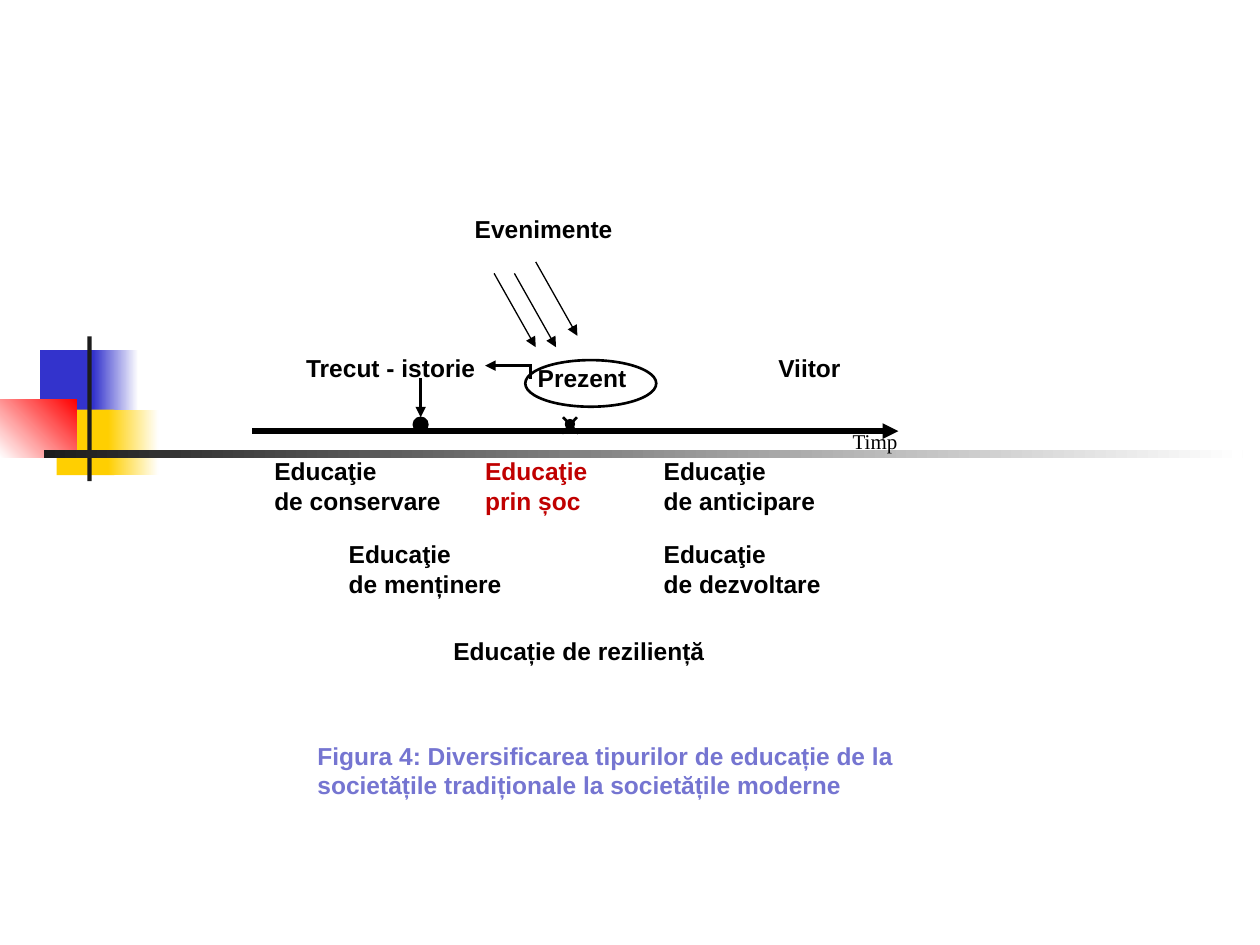
import pptx
import pptx.util
import pptx.dml.color
import pptx.enum.shapes
import pptx.enum.text
import pptx.oxml.ns
import lxml.etree

Cm, Pt = pptx.util.Cm, pptx.util.Pt
RGBColor = pptx.dml.color.RGBColor
SHAPES = pptx.enum.shapes.MSO_SHAPE

BLACK = RGBColor(0x00, 0x00, 0x00)
WHITE = RGBColor(0xFF, 0xFF, 0xFF)
BLUE = RGBColor(0x33, 0x33, 0xCC)
YELLOW = RGBColor(0xFF, 0xCF, 0x01)
RED = RGBColor(0xFF, 0x00, 0x00)
CHARCOAL = RGBColor(0x1C, 0x1C, 0x1C)
SHOCK_RED = RGBColor(0xC0, 0x00, 0x00)
LAVENDER = RGBColor(0x75, 0x75, 0xD1)


class TimelineSlide:
    font = "Arial"
    size = 14
    space_before = 8.8

    def __init__(self, deck):
        self.shapes = deck.slides.add_slide(deck.slide_layouts[6]).shapes

    def figure(self, kind, box, fill, outline=None):
        figure = self.shapes.add_shape(kind, *map(Cm, box))
        figure.shadow.inherit = False
        figure.fill.solid()
        figure.fill.fore_color.rgb = fill
        if outline:
            figure.line.color.rgb = BLACK
            figure.line.width = Pt(outline)
        else:
            figure.line.fill.background()
        return figure

    def fade(self, box, start, end, angle=0):
        fill = self.figure(SHAPES.RECTANGLE, box, start).fill
        fill.gradient()
        fill.gradient_angle = angle
        for stop, color in zip(fill.gradient_stops, (start, end)):
            stop.color.rgb = color

    def line(self, start, end, width=1.5, arrow=False):
        line = self.shapes.add_connector(
            pptx.enum.shapes.MSO_CONNECTOR.STRAIGHT, *map(Cm, start + end))
        line.line.color.rgb = BLACK
        line.line.width = Pt(width)
        if arrow:
            lxml.etree.SubElement(line.line._get_or_add_ln(),
                                  pptx.oxml.ns.qn("a:tailEnd"), type="triangle")
        lxml.etree.SubElement(line._element.spPr, pptx.oxml.ns.qn("a:effectLst"))

    def label(self, text, box, color=BLACK, spacing=None, before=None,
              font=None, size=None, bold=True):
        frame = self.shapes.add_textbox(*map(Cm, box)).text_frame
        frame.word_wrap = True
        frame.auto_size = pptx.enum.text.MSO_AUTO_SIZE.NONE
        frame.text = text
        for paragraph in frame.paragraphs:
            if spacing:
                paragraph.line_spacing = spacing
            if before:
                paragraph.space_before = Pt(before)
            for run in paragraph.runs:
                run.font.name = font or self.font
                run.font.size = Pt(size or self.size)
                run.font.bold = bold
                run.font.color.rgb = color

    def education(self, kind, left, top, width, color=BLACK):
        self.label("Educaţie \n" + kind, (left, top, width, 1.17), color,
                   spacing=0.5, before=self.space_before)


deck = pptx.Presentation()
deck.slide_width, deck.slide_height = Cm(25.4), Cm(19.05)
slide = TimelineSlide(deck)

for color, top, left, width, fade_left, fade_width in (
        (BLUE, 7.06, 0.81, 1.22, 1.88, 0.91),
        (YELLOW, 8.26, 1.14, 1.17, 2.18, 1.02)):
    slide.figure(SHAPES.RECTANGLE, (left, top, width, 1.32), color)
    slide.fade((fade_left, top, fade_width, 1.32), color, WHITE)
slide.fade((0, 8.05, 1.55, 1.17), WHITE, RED, angle=45)
slide.figure(SHAPES.RECTANGLE, (1.76, 6.78, 0.09, 2.92), CHARCOAL)
slide.fade((0.89, 9.07, 24.16, 0.16), CHARCOAL, WHITE)

slide.line((5.08, 8.69), (18.11, 8.69), width=3, arrow=True)
slide.label("Timp", (16.94, 8.51, 1.55, 0.94),
            font="Times New Roman", size=12, bold=False)

slide.label("Trecut - istorie", (5.92, 6.99, 4.17, 0.97))
slide.figure(SHAPES.OVAL, (10.59, 7.26, 2.64, 0.94), WHITE, outline=1.5)
slide.label("Prezent", (10.59, 7.19, 3.25, 1.14))
slide.label("Viitor", (15.44, 6.99, 2.74, 0.86), before=slide.space_before)

slide.line((10.72, 7.37), (9.78, 7.37), arrow=True)
slide.line((10.69, 7.34), (10.69, 7.65))

slide.figure(SHAPES.OVAL, (8.33, 8.41, 0.3, 0.3), BLACK, outline=0.74)
slide.line((8.48, 7.62), (8.48, 8.41), arrow=True)
slide.line((11.35, 8.41), (11.66, 8.74))
slide.line((11.63, 8.41), (11.33, 8.74))
slide.figure(SHAPES.OVAL, (11.4, 8.46, 0.18, 0.18), BLACK, outline=0.74)

slide.label("Evenimente", (9.32, 4.45, 5.08, 0.56),
            spacing=0.5, before=slide.space_before)
for x, y in ((9.96, 5.51), (10.37, 5.51), (10.8, 5.28)):
    slide.line((x, y), (x + 0.84, y + 1.49), width=0.74, arrow=True)

for kind, left, top, width, color in (
        ("de conservare", 5.28, 9.32, 5.08, BLACK),
        ("prin șoc", 9.53, 9.32, 2.97, SHOCK_RED),
        ("de anticipare", 13.13, 9.32, 5.08, BLACK),
        ("de menținere", 6.78, 11, 4.24, BLACK),
        ("de dezvoltare", 13.13, 11, 5.08, BLACK)):
    slide.education(kind, left, top, width, color)
slide.label("Educație de reziliență", (8.89, 12.7, 6.15, 0.86),
            before=slide.space_before)

slide.label("Figura 4: Diversificarea tipurilor de educație de la "
            "societățile tradiționale la societățile moderne ",
            (6.15, 14.81, 13.97, 1.45), LAVENDER)

deck.save("out.pptx")
